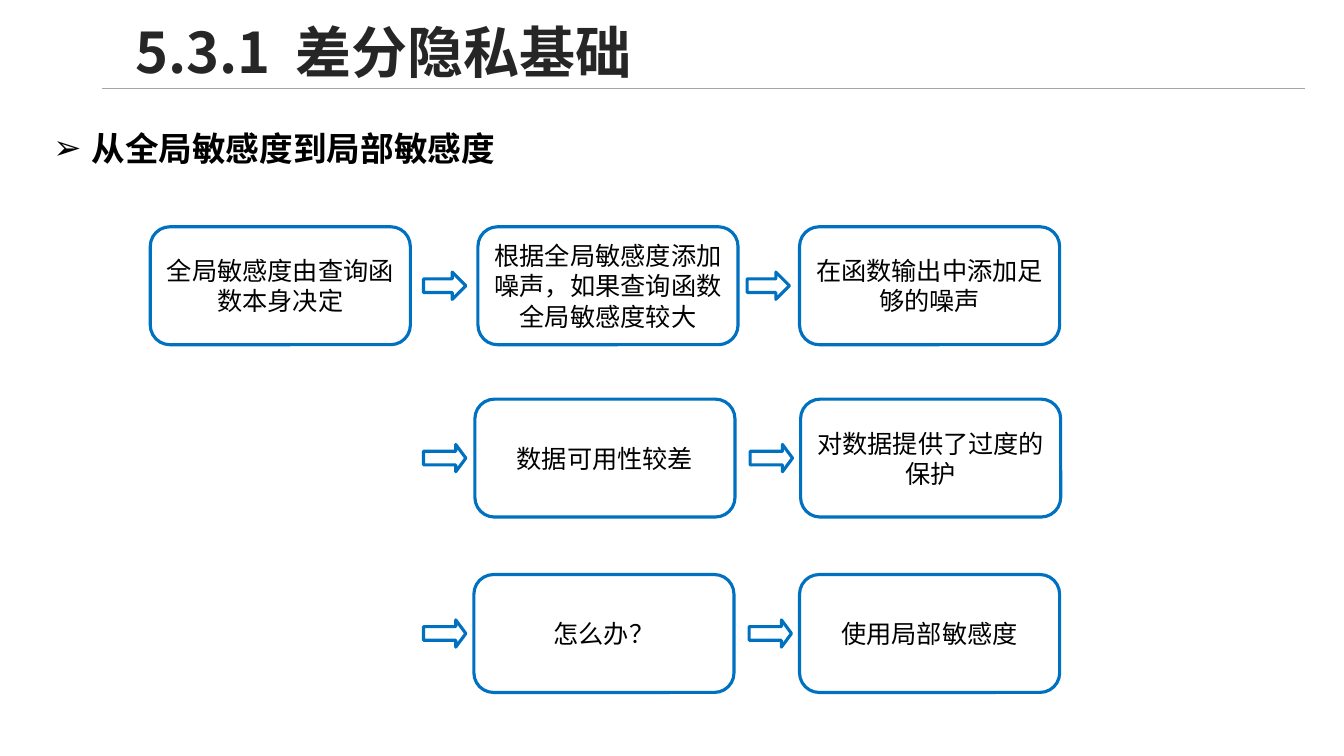
"""Build the slide on moving from global to local sensitivity."""
from pptx import Presentation, util as u
from pptx.dml.color import RGBColor
from pptx.enum import shapes, text
from pptx.oxml.ns import qn
from lxml import etree

FACE = "Noto Sans CJK SC"
TITLE = ("5.3.1", " ", "差分隐私基础")
TOPIC = "从全局敏感度到局部敏感度"
STEPS = [
    (2.25, 0.5, [(None, 1.49, "全局敏感度由查询函数本身决定"),
                 (4.2, 4.74, "根据全局敏感度添加噪声，如果查询函数全局敏感度较大"),
                 (7.41, 7.93, "在函数输出中添加足够的噪声")]),
    (3.96, 0.37, [(4.2, 4.71, "数据可用性较差"),
                  (7.44, 7.94, "对数据提供了过度的保护")]),
    (5.7, 0.37, [(4.2, 4.7, "怎么办？"),
                 (7.43, 7.93, "使用局部敏感度")]),
]
BOX = (2.58, 1.17)
ARROW = (0.42, 0.27)
KIND = shapes.MSO_SHAPE


def color(fmt, code):
    """Set a colour from a hex string."""
    fmt.rgb = RGBColor.from_string(code)


def inch(*nums):
    """Turn inch values into lengths."""
    return [u.Inches(n) for n in nums]


def write(para, words, size, code="000000", bold=False):
    """Add a styled run to a paragraph."""
    run = para.add_run()
    run.text = words
    for key, val in {"size": u.Pt(size), "name": FACE, "bold": bold}.items():
        setattr(run.font, key, val)
    color(run.font.color, code)
    props = run.font._element
    etree.SubElement(props, qn("a:ea")).set("typeface", FACE)
    return props


def frame(shape, **vals):
    """Format a text frame and return its first paragraph."""
    for key, val in {"word_wrap": True, **vals}.items():
        setattr(shape.text_frame, key, val)
    return shape.text_frame.paragraphs[0]


def draw(slide, kind, *place):
    """Add a white shape with a blue outline."""
    shape = slide.shapes.add_shape(kind, *inch(*place))
    shape.shadow.inherit = False
    shape.fill.solid()
    color(shape.fill.fore_color, "FFFFFF")
    color(shape.line.color, "0070C0")
    shape.line.width = u.Pt(2.25)
    return shape


def head(slide):
    """Fill the title and draw the rule below it."""
    title = slide.shapes.title
    spot = inch(1.24, 0.15, 11.61, 0.79)
    for key, val in zip(("left", "top", "width", "height"), spot):
        setattr(title, key, val)
    para = frame(title, vertical_anchor=text.MSO_ANCHOR.MIDDLE,
                 auto_size=text.MSO_AUTO_SIZE.NONE)
    para.alignment, para.line_spacing = text.PP_ALIGN.LEFT, 0.9
    for part in TITLE:
        props = write(para, part, 40, "262626", True)
        if part == " ":
            props.set("spc", "900")
    rule = slide.shapes.add_connector(shapes.MSO_CONNECTOR.STRAIGHT,
                                      *inch(1.01, 0.88, 12.94, 0.88))
    color(rule.line.color, "A6A6A6")
    rule.line.width = u.Pt(1)
    etree.SubElement(rule._element.spPr, qn("a:effectLst"))


def topic(slide):
    """Add the bulleted topic line."""
    box = slide.shapes.add_textbox(*inch(0.43, 1.02, 4.82, 0.64))
    para = frame(box, auto_size=text.MSO_AUTO_SIZE.SHAPE_TO_FIT_TEXT)
    para.line_spacing = 1.5
    write(para, TOPIC, 24, bold=True)
    props = para._p.get_or_add_pPr()
    props.set("marL", str(u.Inches(0.38)))
    props.set("indent", str(-u.Inches(0.38)))
    etree.SubElement(props, qn("a:buFont")).set("typeface", "Arial")
    etree.SubElement(props, qn("a:buChar")).set("char", "➢")


def flow(slide):
    """Draw the rows of boxes and the arrows leading to them."""
    drop = (BOX[1] - ARROW[1]) / 2
    for top, tip, row in STEPS:
        for start, left, words in row:
            if start:
                arrow = draw(slide, KIND.RIGHT_ARROW, start, top + drop, *ARROW)
                arrow.adjustments[1] = tip
            box = draw(slide, KIND.ROUNDED_RECTANGLE, left, top, *BOX)
            para = frame(box, vertical_anchor=text.MSO_ANCHOR.MIDDLE)
            para.alignment = text.PP_ALIGN.CENTER
            write(para, words, 18)


def main():
    """Assemble and save the deck."""
    deck = Presentation()
    deck.slide_width, deck.slide_height = inch(13.33, 7.5)
    slide = deck.slides.add_slide(deck.slide_layouts[5])
    head(slide)
    topic(slide)
    flow(slide)
    deck.save("out.pptx")


if __name__ == "__main__":
    main()
